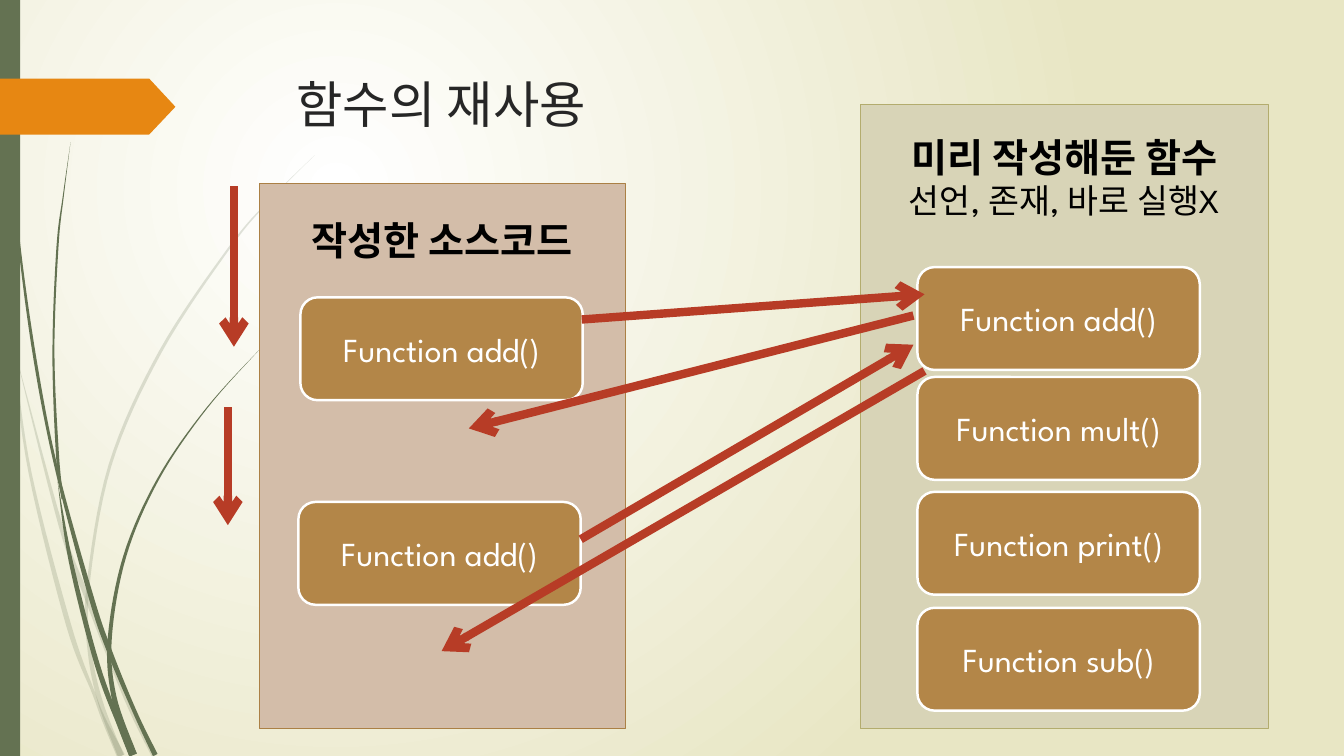
from math import hypot
from pptx import Presentation
from pptx.dml.color import RGBColor
from pptx.enum.shapes import MSO_CONNECTOR, MSO_SHAPE
from pptx.enum.text import MSO_ANCHOR, PP_ALIGN
from pptx.oxml.ns import qn
from pptx.util import Inches, Pt
from lxml.etree import SubElement

WHITE = RGBColor(0xFF, 0xFF, 0xFF)
BLACK = RGBColor(0, 0, 0)
INK = RGBColor(0x26, 0x26, 0x26)
CREAM = RGBColor(0xE8, 0xE6, 0xC4)
GREEN = RGBColor(0x64, 0x72, 0x52)
ORANGE = RGBColor(0xE7, 0x87, 0x12)
KHAKI = RGBColor(0xD8, 0xD4, 0xB7)
KHAKI_EDGE = RGBColor(0xB3, 0xAC, 0x6E)
ROSE = RGBColor(0xD3, 0xBD, 0xA9)
ROSE_EDGE = RGBColor(0xAB, 0x80, 0x45)
BROWN = RGBColor(0xB3, 0x86, 0x48)
RED = RGBColor(0xB7, 0x3C, 0x26)


def spline(points, steps=8):
    ends = [points[0], *points, points[-1]]
    curve = []
    for a, b, c, d in zip(ends, ends[1:], ends[2:], ends[3:]):
        for i in range(steps):
            t = i / steps
            curve.append([
                (2 * q + (r - p) * t + (2 * p - 5 * q + 4 * r - s) * t ** 2
                 + (3 * q - p - 3 * r + s) * t ** 3) / 2
                for p, q, r, s in zip(a, b, c, d)])
    return curve + [points[-1]]


class Deck:
    font = "League Spartan"
    hangul = "Noto Sans CJK KR"
    cell = Inches(0.1)

    def __init__(self, prs):
        self.s = prs.slides.add_slide(prs.slide_layouts[5])

    def grid(self, *cells):
        return [round(n * self.cell) for n in cells]

    def background(self, inner, outer):
        fill = self.s.background.fill
        fill.gradient()
        for stop, color, position in zip(fill.gradient_stops, (inner, outer), (0, 1)):
            stop.color.rgb = color
            stop.position = position
        grad = self.s.background._cSld.find(".//" + qn("a:gradFill"))
        grad.remove(grad.find(qn("a:lin")))
        circle = SubElement(grad, qn("a:path"), path="circle")
        SubElement(circle, qn("a:fillToRect"), l="50000", t="50000", r="100000", b="100000")

    def paint(self, sp, fill, line=None, width=0):
        sp.shadow.inherit = False
        sp.fill.solid()
        sp.fill.fore_color.rgb = fill
        if line is None:
            sp.line.fill.background()
        else:
            sp.line.color.rgb = line
            sp.line.width = Pt(width)
        return sp

    def set_text(self, tf, lines, color, align, font=None):
        tf.word_wrap = True
        for i, (text, size, bold) in enumerate(lines):
            p = tf.add_paragraph() if i else tf.paragraphs[0]
            p.text = text
            p.alignment = align
            p.font.name = font or self.font
            p.font.size = Pt(size)
            p.font.bold = bold
            p.font.color.rgb = color
            SubElement(p.font._element, qn("a:ea"), typeface=self.hangul)

    def title(self, text, *box):
        sp = self.s.shapes.title
        sp.left, sp.top, sp.width, sp.height = self.grid(*box)
        sp.text_frame.vertical_anchor = MSO_ANCHOR.TOP
        self.set_text(sp.text_frame, [(text, 36, False)], INK, PP_ALIGN.LEFT, self.hangul)

    def shape(self, kind, box, fill, line=None, width=0):
        sp = self.s.shapes.add_shape(kind, *self.grid(*box))
        return self.paint(sp, fill, line, width)

    def outline(self, points, fill, alpha=None):
        points = [self.grid(*point) for point in points]
        builder = self.s.shapes.build_freeform(*points[0])
        builder.add_line_segments(points[1:], close=True)
        sp = self.paint(builder.convert_to_shape(), fill)
        if alpha:
            color = sp._element.spPr.find(qn("a:solidFill"))[0]
            SubElement(color, qn("a:alpha"), val=str(alpha * 1000))

    def wisp(self, points, alpha=None):
        curve = spline(points)
        left, right = [], []
        for before, (x, y, w), after in zip([curve[0]] + curve, curve, curve[1:] + [curve[-1]]):
            dx, dy = after[0] - before[0], after[1] - before[1]
            k = w / 2 / hypot(dx, dy)
            left.append((x - dy * k, y + dx * k))
            right.append((x + dy * k, y - dx * k))
        self.outline(left + right[::-1], GREEN, alpha)

    def panel(self, box, fill, line, inset, lines):
        sp = self.shape(MSO_SHAPE.RECTANGLE, box, fill, line, 0.75)
        tf = sp.text_frame
        tf.vertical_anchor = MSO_ANCHOR.TOP
        tf.margin_top, = self.grid(inset)
        self.set_text(tf, lines, BLACK, PP_ALIGN.CENTER)

    def function(self, name, x, y):
        sp = self.shape(MSO_SHAPE.ROUNDED_RECTANGLE, (x, y, 28, 10.2), BROWN, WHITE, 1.75)
        sp.text_frame.vertical_anchor = MSO_ANCHOR.MIDDLE
        self.set_text(sp.text_frame, [(f"Function {name}()", 24, False)], WHITE, PP_ALIGN.CENTER)

    def arrow(self, *ends):
        c = self.s.shapes.add_connector(MSO_CONNECTOR.STRAIGHT, *self.grid(*ends))
        c.line.color.rgb = RED
        c.line.width = Pt(6)
        SubElement(c.line._get_or_add_ln(), qn("a:tailEnd"), type="arrow")
        SubElement(c._element.spPr, qn("a:effectLst"))


PALE_WISPS = [
    [(0, 29, 0.3), (1.2, 34.7, 0.2), (3, 47, 0.3), (6.8, 62, 0.5),
     (9.3, 68.8, 0.3), (10.3, 71.4, 0.4), (12, 75, 0.8)],
    [(1.4, 34.5, 0), (6, 52.1, 0.4), (8.6, 59.2, 0.5), (12.5, 69.3, 0.4), (15.3, 75, 0.5)],
    [(31.2, 15.4, 0), (26.8, 19.8, 0.1), (22.8, 24.5, 0.2), (15.9, 34.9, 0.3),
     (10.9, 46.2, 0.3), (8.7, 58.4, 0.3), (8.9, 64.6, 0.4), (10, 69.8, 0.5), (12, 75, 0.6)],
]
DARK_WISPS = [
    [(0.35, 0, 0.1), (0.75, 11, 0.1), (1.8, 23.3, 0.2), (3.45, 35.5, 0.3), (5.6, 46.5, 0.3),
     (9, 59.1, 0.5), (10.9, 64.7, 0.5), (13.4, 70.7, 0.4), (15.4, 74.9, 0.5)],
    [(5.7, 47.7, 0), (7, 55.6, 0.4), (9.6, 65.8, 0.5), (11.9, 72, 0.5), (13.2, 74.9, 0.8)],
    [(7, 14.1, 0), (6.3, 19.3, 0.1), (5.7, 24.5, 0.2), (5.3, 34.9, 0.2),
     (5.7, 45.1, 0.3), (6.2, 49.5, 0.2)],
    [(26, 34.4, 0), (20.5, 40.5, 0.1), (15.7, 47.5, 0.2), (12.4, 55.1, 0.3),
     (10.9, 63.2, 0.4), (11.3, 69.1, 0.5), (13.2, 74.9, 0.8)],
]
ARROWS = [
    (57.7, 31.7, 91.7, 29.2), (23.2, 18.5, 23.2, 34.4), (22.6, 40.4, 22.6, 52.1),
    (90.6, 31.3, 46.5, 42.5), (57.6, 53.5, 90.6, 34.2), (91.7, 36.8, 43.8, 64.6),
]
LIBRARY = {"add": 26.5, "mult": 37.4, "print": 48.8, "sub": 60.3}
CALLS = [(29.8, 29.5), (29.6, 49.8)]

prs = Presentation()
prs.slide_width, prs.slide_height = Inches(13.33), Inches(7.5)
deck = Deck(prs)
deck.background(WHITE, CREAM)
for wisp in PALE_WISPS:
    deck.wisp(wisp, 20)
for wisp in DARK_WISPS:
    deck.wisp(wisp)
deck.shape(MSO_SHAPE.RECTANGLE, (0, 0, 2, 75), GREEN)
deck.outline([(0, 7.8), (14.8, 7.8), (17.4, 10.6), (14.8, 13.35), (0, 13.35)], ORANGE)
deck.title("함수의 재사용", 28.4, 6.8, 97.5, 14)

deck.panel((85.3, 10.4, 40.5, 61.9), KHAKI, KHAKI_EDGE, 2.8,
           [("미리 작성해둔 함수", 28, True), ("선언, 존재, 바로 실행X", 24, False)])
for name, y in LIBRARY.items():
    deck.function(name, 91, y)
deck.panel((25.7, 18.2, 36.3, 54.1), ROSE, ROSE_EDGE, 3.3, [("작성한 소스코드", 28, True)])
for x, y in CALLS:
    deck.function("add", x, y)
for ends in ARROWS:
    deck.arrow(*ends)

prs.save("out.pptx")
